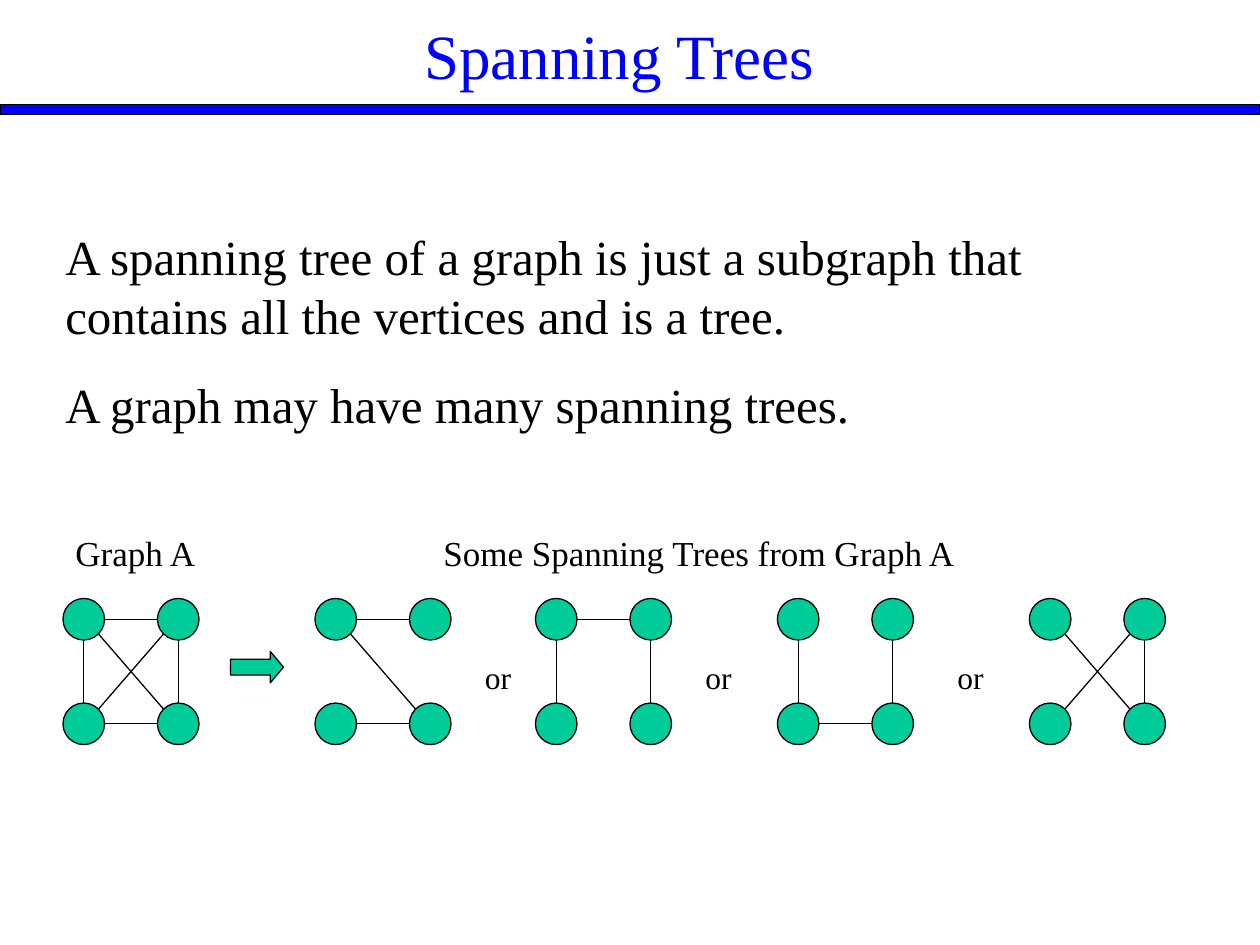
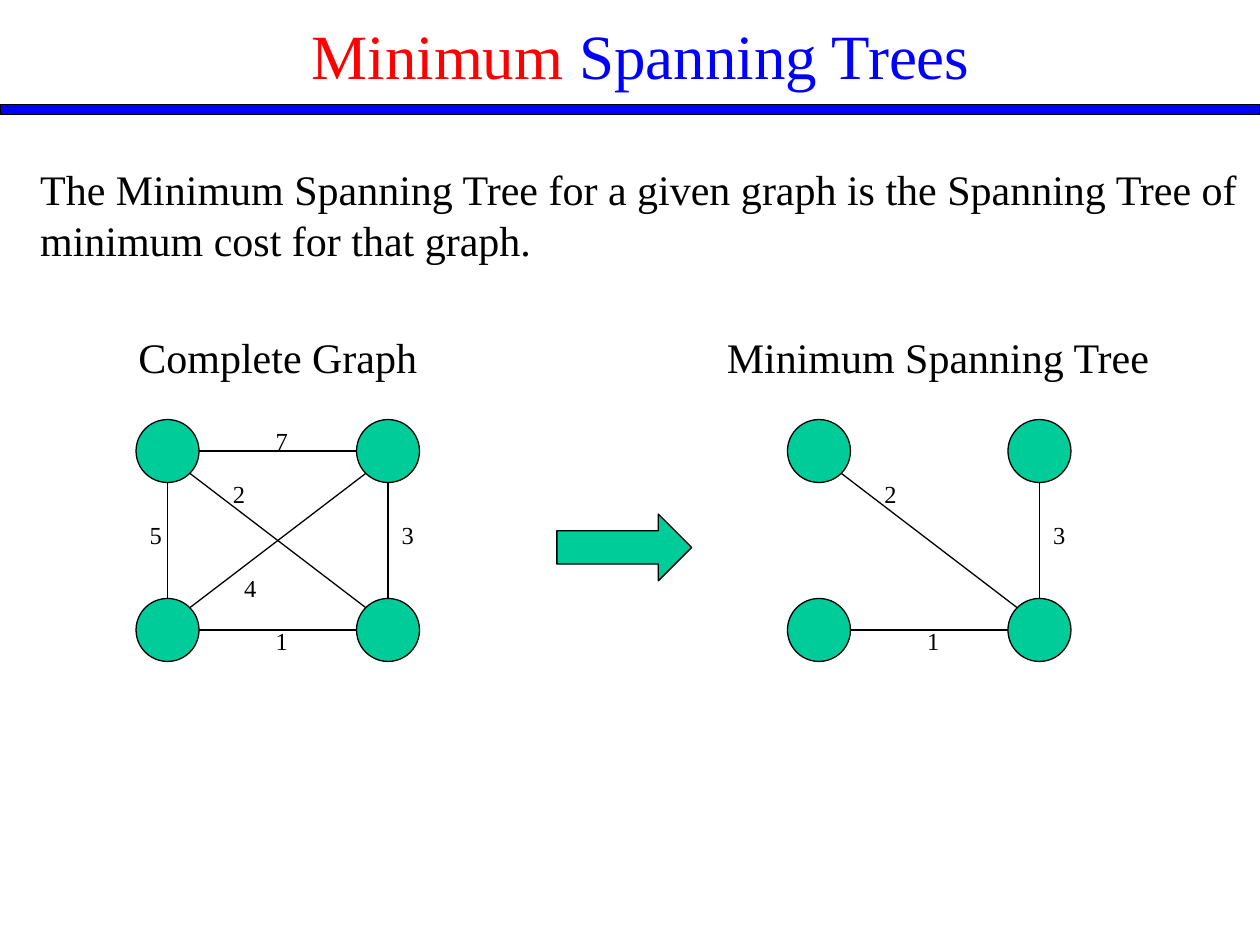
"""Builds two slides on spanning trees and minimum spanning trees."""
from dataclasses import dataclass
from math import hypot

from lxml import etree
from pptx import Presentation
from pptx.dml.color import RGBColor
from pptx.enum.shapes import MSO_CONNECTOR, MSO_SHAPE
from pptx.enum.text import MSO_AUTO_SIZE, PP_ALIGN
from pptx.oxml.ns import qn
from pptx.util import Inches, Pt

STRAIGHT = MSO_CONNECTOR.STRAIGHT
ELLIPSE = MSO_SHAPE.OVAL
RECTANGLE = MSO_SHAPE.RECTANGLE
RIGHT_ARROW = MSO_SHAPE.RIGHT_ARROW
GROW = MSO_AUTO_SIZE.SHAPE_TO_FIT_TEXT
LEFT = PP_ALIGN.LEFT
CENTER = PP_ALIGN.CENTER

FONT = "Times New Roman"
BLACK = "000000"
BLUE = "0000FF"
RED = "FF0000"
GREEN = "00CC99"
LINE_WIDTH = 0.75

TOP_LEFT, TOP_RIGHT, BOTTOM_LEFT, BOTTOM_RIGHT = (0, 0), (1, 0), (0, 1), (1, 1)
CORNERS = (TOP_LEFT, TOP_RIGHT, BOTTOM_LEFT, BOTTOM_RIGHT)
TOP = (TOP_LEFT, TOP_RIGHT)
BOTTOM = (BOTTOM_LEFT, BOTTOM_RIGHT)
LEFT_SIDE = (TOP_LEFT, BOTTOM_LEFT)
RIGHT_SIDE = (TOP_RIGHT, BOTTOM_RIGHT)
RISING = (TOP_RIGHT, BOTTOM_LEFT)
FALLING = (TOP_LEFT, BOTTOM_RIGHT)
COMPLETE = (TOP, LEFT_SIDE, BOTTOM, RIGHT_SIDE, RISING, FALLING)

WEIGHTS = {
    LEFT_SIDE: ("5", 0.01, 0.75),
    TOP: ("7", 1.01, 0),
    FALLING: ("2", 0.67, 0.42),
    BOTTOM: ("1", 1.01, 1.59),
    RIGHT_SIDE: ("3", 2.01, 0.75),
    RISING: ("4", 0.76, 1.17),
}


@dataclass
class GraphLayout:
    """Measures of a four-node graph, in inches."""
    top: float
    diameter: float
    step_x: float
    step_y: float


SMALL = GraphLayout(4.75, 0.33, 0.75, 0.83)
LARGE = GraphLayout(3.33, 0.5, 1.75, 1.42)


def color(hex_value):
    """Turn a hex string into a colour."""
    return RGBColor.from_string(hex_value)


def add_figure(slide, kind, box, fill):
    """Add a filled preset shape with a thin black outline."""
    shape = slide.shapes.add_shape(kind, *map(Inches, box))
    shape.shadow.inherit = False
    shape.fill.solid()
    shape.fill.fore_color.rgb = color(fill)
    shape.line.color.rgb = color(BLACK)
    shape.line.width = Pt(LINE_WIDTH)
    return shape


def add_arrow(slide, box, head):
    """Add a green block arrow with the given head length."""
    add_figure(slide, RIGHT_ARROW, box, GREEN).adjustments[1] = head


def add_line(slide, start, end):
    """Add a thin black straight line."""
    connector = slide.shapes.add_connector(STRAIGHT, *map(Inches, (*start, *end)))
    connector.line.color.rgb = color(BLACK)
    connector.line.width = Pt(LINE_WIDTH)
    etree.SubElement(connector.element.spPr, qn("a:effectLst"))


def style_run(run, size, hex_value):
    """Set the font, size and colour of a run."""
    run.font.name = FONT
    run.font.size = Pt(size)
    run.font.color.rgb = color(hex_value)


def add_text(slide, box, text, size, space_before=0, wrap=True, alignment=LEFT):
    """Add a black text box, one paragraph for each line of the text."""
    text_frame = slide.shapes.add_textbox(*map(Inches, box)).text_frame
    text_frame.word_wrap = wrap
    text_frame.auto_size = GROW
    text_frame.text = text
    for paragraph in text_frame.paragraphs:
        paragraph.alignment = alignment
        paragraph.space_before = Pt(space_before)
        for run in paragraph.runs:
            style_run(run, size, BLACK)
    return text_frame


def add_header(slide, left, width, parts):
    """Add the blue band and a title made of coloured parts."""
    add_figure(slide, RECTANGLE, (0, 0.83, 10, 0.08), BLUE)
    text_frame = add_text(slide, (left, 0.08, width, 0.7), "", 36, alignment=CENTER)
    for text, hex_value in parts:
        run = text_frame.paragraphs[0].add_run()
        run.text = text
        style_run(run, 36, hex_value)


def add_edge(slide, left, layout, edge):
    """Join the rims of two nodes along one of eight directions."""
    (start_column, start_row), (end_column, end_row) = edge
    across, down = end_column - start_column, end_row - start_row
    reach = layout.diameter / 2 / hypot(across, down)

    def rim(column, row, sign):
        """Find the point where the edge meets a node."""
        radius = layout.diameter / 2
        return (left + column * layout.step_x + radius + sign * across * reach,
                layout.top + row * layout.step_y + radius + sign * down * reach)

    add_line(slide, rim(start_column, start_row, 1), rim(end_column, end_row, -1))


def add_graph(slide, left, layout, edges):
    """Add four nodes in a square and the edges between them."""
    for column, row in CORNERS:
        box = (left + column * layout.step_x, layout.top + row * layout.step_y,
               layout.diameter, layout.diameter)
        add_figure(slide, ELLIPSE, box, GREEN)
    for edge in edges:
        add_edge(slide, left, layout, edge)


def add_weighted_graph(slide, left, edges):
    """Add a large graph with a weight beside each edge."""
    add_graph(slide, left, LARGE, edges)
    for edge in edges:
        weight, across, down = WEIGHTS[edge]
        add_text(slide, (left + across, LARGE.top + down, 0.3, 0.34), weight, 14, wrap=False)


def build_spanning_trees(slide):
    """Show a graph and some of its spanning trees."""
    add_header(slide, 3.25, 3.33, [("Spanning Trees", BLUE)])
    add_text(slide, (0.42, 1.75, 9.17, 1.75),
             "A spanning tree of a graph is just a subgraph that contains all "
             "the vertices and is a tree.\n"
             "A graph may have many spanning trees.", 28, 17.5)
    add_text(slide, (0.5, 4.17, 1.17, 0.44), "Graph A", 20, 12.5)
    add_text(slide, (3.42, 4.17, 5.17, 0.44), "Some Spanning Trees from Graph A", 20, 12.5)
    add_graph(slide, 0.5, SMALL, COMPLETE)
    add_arrow(slide, (1.83, 5.17, 0.42, 0.25), 0.42)
    trees = {
        2.5: (TOP, BOTTOM, FALLING),
        4.25: (TOP, LEFT_SIDE, RIGHT_SIDE),
        6.17: (LEFT_SIDE, BOTTOM, RIGHT_SIDE),
        8.17: (RIGHT_SIDE, RISING, FALLING),
    }
    for left, edges in trees.items():
        add_graph(slide, left, SMALL, edges)
    for left in (3.75, 5.5, 7.5):
        add_text(slide, (left, 5.17, 0.42, 0.4), "or", 18, 11.2)


def build_minimum_spanning_trees(slide):
    """Show a weighted graph and its minimum spanning tree."""
    add_header(slide, 2.17, 5.83, [("Minimum", RED), (" Spanning Trees", BLUE)])
    add_text(slide, (0.22, 1.25, 9.78, 0.9),
             "The Minimum Spanning Tree for a given graph is the Spanning Tree "
             "of minimum cost for that graph.", 24)
    add_text(slide, (1, 2.58, 2.41, 0.5), "Complete Graph", 24, wrap=False)
    add_text(slide, (5.67, 2.58, 3.57, 0.5), "Minimum Spanning Tree", 24, wrap=False)
    add_weighted_graph(slide, 1.08, COMPLETE)
    add_arrow(slide, (4.42, 4.08, 1.07, 0.53), 0.5)
    add_weighted_graph(slide, 6.25, (BOTTOM, RIGHT_SIDE, FALLING))


def main():
    """Build and save the presentation."""
    presentation = Presentation()
    presentation.slide_width = Inches(10)
    presentation.slide_height = Inches(7.5)
    blank = presentation.slide_layouts[6]
    for build in (build_spanning_trees, build_minimum_spanning_trees):
        build(presentation.slides.add_slide(blank))
    presentation.save("out.pptx")


if __name__ == "__main__":
    main()
